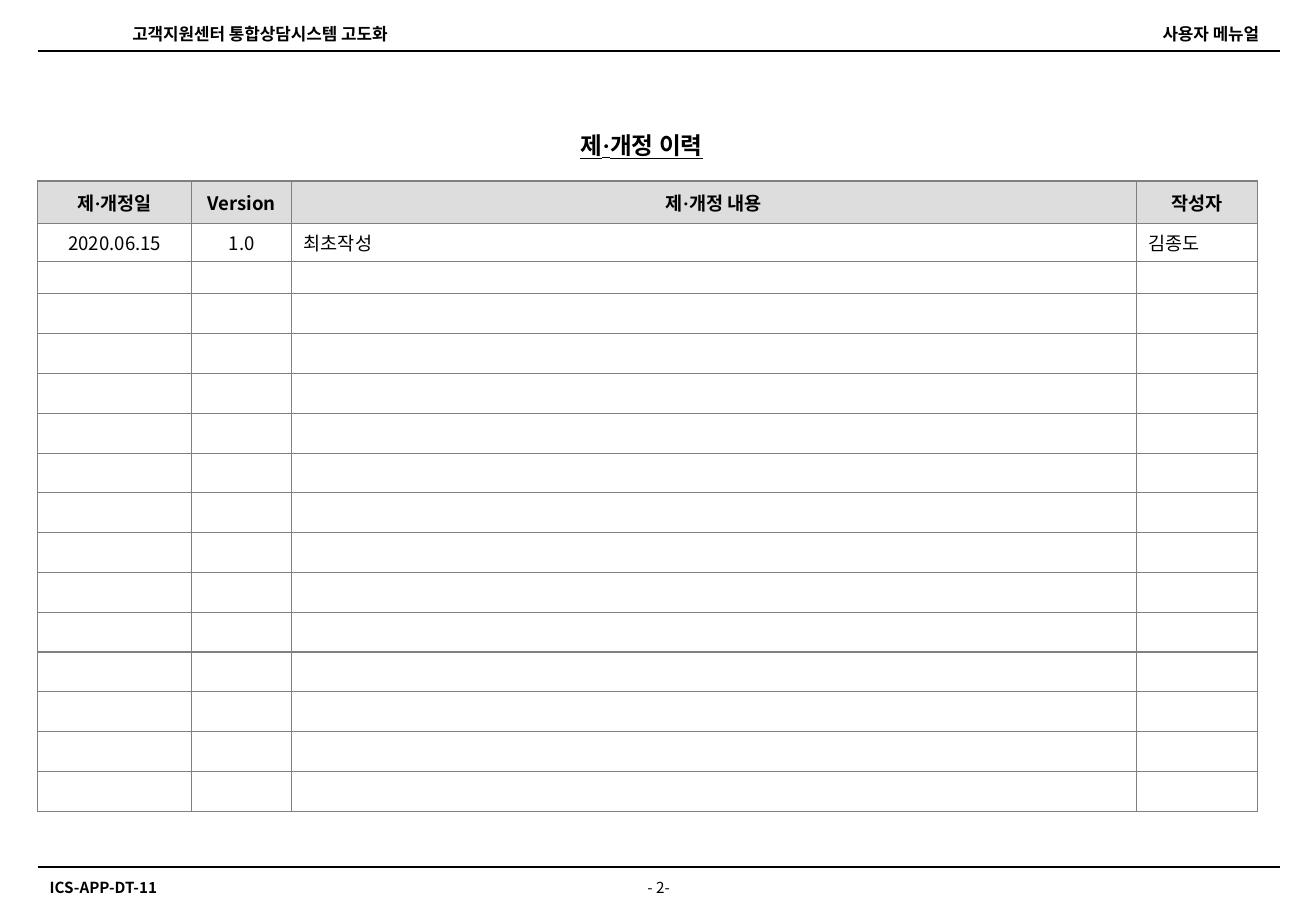
from dataclasses import dataclass

from lxml.etree import SubElement
from pptx import Presentation
from pptx.dml.color import RGBColor
from pptx.enum.shapes import MSO_CONNECTOR
from pptx.enum.text import MSO_ANCHOR, MSO_AUTO_SIZE, PP_ALIGN
from pptx.oxml.ns import qn
from pptx.util import Inches, Pt


@dataclass(frozen=True)
class Theme:
    font: str = "Noto Sans CJK KR"
    dot_font: str = "Times New Roman"
    black: RGBColor = RGBColor(0, 0, 0)
    white: RGBColor = RGBColor(255, 255, 255)
    header_fill: RGBColor = RGBColor(0xDD, 0xDD, 0xDD)
    border: str = "808080"
    title_size: int = 14
    table_size: int = 11
    header_size: int = 10
    footer_size: int = 9
    empty_size: int = 8


theme = Theme()


def write(frame, text, size, align, bold=True, underline=False):
    """Fill a frame with one paragraph, setting each middle dot in the dot font."""
    frame.vertical_anchor = MSO_ANCHOR.MIDDLE
    para = frame.paragraphs[0]
    para.alignment = align
    before, dot, after = text.partition("·")
    for part in filter(None, (before, dot, after)):
        span = para.add_run()
        span.text = part
        span.font.size = Pt(size)
        span.font.bold = bold
        span.font.underline = underline
        span.font.color.rgb = theme.black
        span.font.name = theme.dot_font if part == "·" else theme.font
        SubElement(span.font._element, qn("a:ea"), typeface=span.font.name)


def draw_borders(cell):
    properties = cell._tc.get_or_add_tcPr()
    for index, side in enumerate(("a:lnL", "a:lnR", "a:lnT", "a:lnB")):
        line = SubElement(properties, qn(side), w=str(Pt(0.75)))
        fill = SubElement(line, qn("a:solidFill"))
        SubElement(fill, qn("a:srgbClr"), val=theme.border)
        properties.insert(index, line)


deck = Presentation()
deck.slide_width = Inches(10.83)
deck.slide_height = Inches(7.5)
page = deck.slides.add_slide(deck.slide_layouts[5])

# Header and footer
for y, width in ((0.42, 1.25), (7.14, 1)):
    rule = page.shapes.add_connector(
        MSO_CONNECTOR.STRAIGHT, Inches(0.31), Inches(y), Inches(10.53), Inches(y))
    rule.line.color.rgb = theme.black
    rule.line.width = Pt(width)
    SubElement(rule._element.spPr, qn("a:effectLst"))

labels = (
    ("고객지원센터 통합상담시스템 고도화", 0.99, 0.14, 3.18, 0.27,
     theme.header_size, PP_ALIGN.LEFT, True),
    ("사용자 메뉴얼", 7.98, 0.14, 2.48, 0.27, theme.header_size, PP_ALIGN.RIGHT, True),
    ("ICS-APP-DT-11", 0.31, 7.18, 2.48, 0.25, theme.footer_size, PP_ALIGN.LEFT, True),
    ("- 2-", 4.18, 7.18, 2.48, 0.25, theme.footer_size, PP_ALIGN.CENTER, False),
)
for text, left, top, width, height, size, align, bold in labels:
    box = page.shapes.add_textbox(Inches(left), Inches(top), Inches(width), Inches(height))
    box.text_frame.word_wrap = True
    write(box.text_frame, text, size, align, bold)

# Title
title = page.shapes.title
title.left, title.top = Inches(1.89), Inches(1.03)
title.width, title.height = Inches(6.78), Inches(0.33)
title.text_frame.auto_size = MSO_AUTO_SIZE.NONE
write(title.text_frame, "제·개정 이력", theme.title_size, PP_ALIGN.CENTER, underline=True)

# Revision history
table_height = 5.19
top_rows = [0.35, 0.31, 0.27]
empty_rows = 13
row_heights = top_rows + [(table_height - sum(top_rows)) / empty_rows] * empty_rows
column_widths = [1.27, 0.82, 6.95, 1]
records = [
    ["제·개정일", "Version", "제·개정 내용", "작성자"],
    ["2020.06.15", "1.0", "최초작성", "김종도"],
]
history = page.shapes.add_table(
    len(row_heights), len(column_widths), Inches(0.31), Inches(1.49),
    Inches(sum(column_widths)), Inches(table_height)).table
history.horz_banding = False
for column, width in zip(history.columns, column_widths):
    column.width = Inches(width)

for row_index, (row, height) in enumerate(zip(history.rows, row_heights)):
    row.height = Inches(height)
    is_header = row_index == 0
    for column_index, cell in enumerate(row.cells):
        cell.margin_top = cell.margin_bottom = Inches(0.04)
        cell.fill.solid()
        cell.fill.fore_color.rgb = theme.header_fill if is_header else theme.white
        draw_borders(cell)
        if row_index < len(records):
            centred = is_header or column_index < 2
            write(cell.text_frame, records[row_index][column_index], theme.table_size,
                  PP_ALIGN.CENTER if centred else PP_ALIGN.LEFT, is_header)
            cell.vertical_anchor = MSO_ANCHOR.MIDDLE
        else:
            SubElement(cell.text_frame.paragraphs[0]._p, qn("a:endParaRPr"),
                       sz=str(theme.empty_size * 100))

deck.save("out.pptx")
